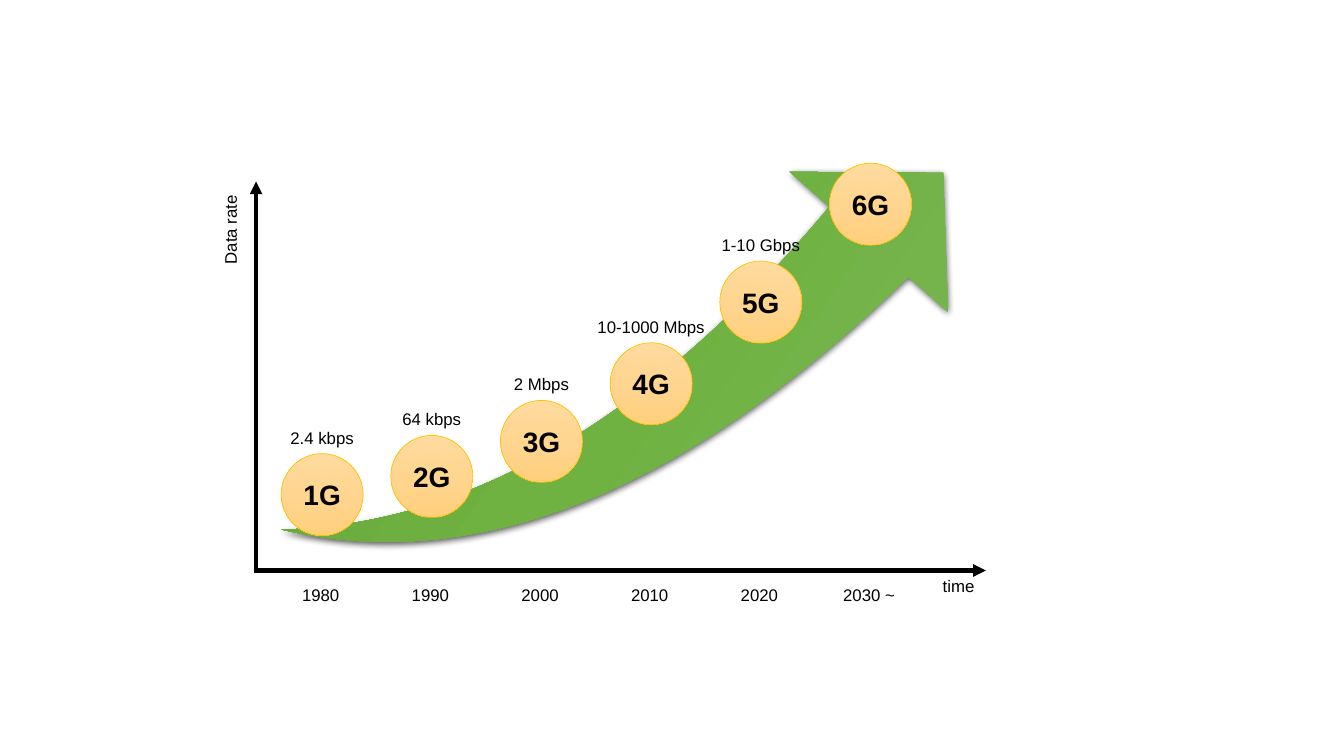
"""Build a slide charting mobile generations by data rate over time."""
from pptx import Presentation
from pptx.dml.color import RGBColor
from pptx.enum.shapes import MSO_CONNECTOR as CONN, MSO_SHAPE as SHAPE
from pptx.enum.text import MSO_ANCHOR as ANCHOR, PP_ALIGN as ALIGN
from pptx.oxml import parse_xml
from pptx.oxml.ns import nsdecls, qn
from pptx.util import Pt

GENERATIONS = [
    ("1G", "1980", "2.4 kbps", 324),
    ("2G", "1990", "64 kbps", 311),
    ("3G", "2000", "2 Mbps", 286),
    ("4G", "2010", "10-1000 Mbps", 244.8),
    ("5G", "2020", "1-10 Gbps", 186.5),
    ("6G", "2030 ~", "", 116.6),
]
AXES = [((181.4, 407.5), (704.2, 407.5)), ((182.9, 407.5), (182.9, 129.6))]
AXIS_TITLES = [("time", 684.7, 418.3, 0), ("Data rate", 164.5, 164.2, 270)]
GREEN = ["81B861", "6FB242", "62A336"]
ORANGE = ["FFDB9E", "FFD590", "FFD07C"]
BLACK, GOLD = "000000", "FFC000"
FIRST_X, STEP, DIAMETER = 230.1, 78.34, 58.6
LABEL_W, LABEL_H = 100, 21.6
YEAR_Y, RATE_GAP = 424.8, 11.5


def color(code):
    return RGBColor.from_string(code)


def fill_gradient(shape, codes):
    stops = "".join(
        f'<a:gs pos="{i * 50000}"><a:srgbClr val="{c}"/></a:gs>'
        for i, c in enumerate(codes))
    shape.fill.gradient()
    pr = shape.element.spPr
    pr.replace(pr.find(qn("a:gradFill")), parse_xml(
        f'<a:gradFill {nsdecls("a")} rotWithShape="1"><a:gsLst>{stops}</a:gsLst>'
        '<a:lin ang="5400000" scaled="0"/></a:gradFill>'))


def write(shape, text, size=12, bold=False, wrap=False):
    tf = shape.text_frame
    tf.word_wrap = wrap
    tf.vertical_anchor = ANCHOR.MIDDLE
    p = tf.paragraphs[0]
    p.alignment = ALIGN.CENTER
    r = p.add_run()
    r.text = text
    r.font.name, r.font.size, r.font.bold = "Arial", Pt(size), bold
    r.font.color.rgb = color(BLACK)


def add_label(s, text, x, y, rotation=0):
    box = s.shapes.add_textbox(Pt(x - LABEL_W / 2), Pt(y - LABEL_H / 2),
                               Pt(LABEL_W), Pt(LABEL_H))
    box.rotation = rotation
    write(box, text, wrap=True)


def add_growth_arrow(s):
    arrow = s.shapes.add_shape(SHAPE.SWOOSH_ARROW, Pt(221.8), Pt(118.1), Pt(480.2), Pt(300.2))
    arrow.rotation = 305.1
    arrow.adjustments[0] = arrow.adjustments[1] = 0.25
    fill_gradient(arrow, GREEN)
    arrow.line.fill.background()
    pr = arrow.element.spPr
    pr.find(qn("a:xfrm")).set("flipV", "1")
    pr.append(parse_xml(
        f'<a:effectLst {nsdecls("a")}><a:outerShdw blurRad="{Pt(4.5)}" dist="{Pt(1.5)}" '
        f'dir="5400000" algn="ctr" rotWithShape="0"><a:srgbClr val="{BLACK}">'
        '<a:alpha val="63000"/></a:srgbClr></a:outerShdw></a:effectLst>'))


def add_axis(s, start, end):
    axis = s.shapes.add_connector(CONN.STRAIGHT, *map(Pt, start + end))
    axis.line.width = Pt(3)
    axis.line.color.rgb = color(BLACK)
    axis.line._get_or_add_ln().append(
        parse_xml(f'<a:tailEnd {nsdecls("a")} type="triangle"/>'))
    axis.element.spPr.append(parse_xml(f'<a:effectLst {nsdecls("a")}/>'))


def add_generation(s, name, x, top):
    circle = s.shapes.add_shape(SHAPE.OVAL, Pt(x - DIAMETER / 2), Pt(top),
                                Pt(DIAMETER), Pt(DIAMETER))
    circle.shadow.inherit = False
    fill_gradient(circle, ORANGE)
    circle.line.color.rgb = color(GOLD)
    circle.line.width = Pt(0.5)
    write(circle, name, size=20, bold=True)


def main():
    prs = Presentation()
    prs.slide_width, prs.slide_height = Pt(960), Pt(540)
    s = prs.slides.add_slide(prs.slide_layouts[6])
    add_growth_arrow(s)
    for i, (name, year, rate, top) in enumerate(GENERATIONS):
        x = FIRST_X + i * STEP
        add_generation(s, name, x, top)
        add_label(s, year, x - 1, YEAR_Y)
        if rate:
            add_label(s, rate, x, top - RATE_GAP)
    for start, end in AXES:
        add_axis(s, start, end)
    for title in AXIS_TITLES:
        add_label(s, *title)
    prs.save("out.pptx")


if __name__ == "__main__":
    main()
